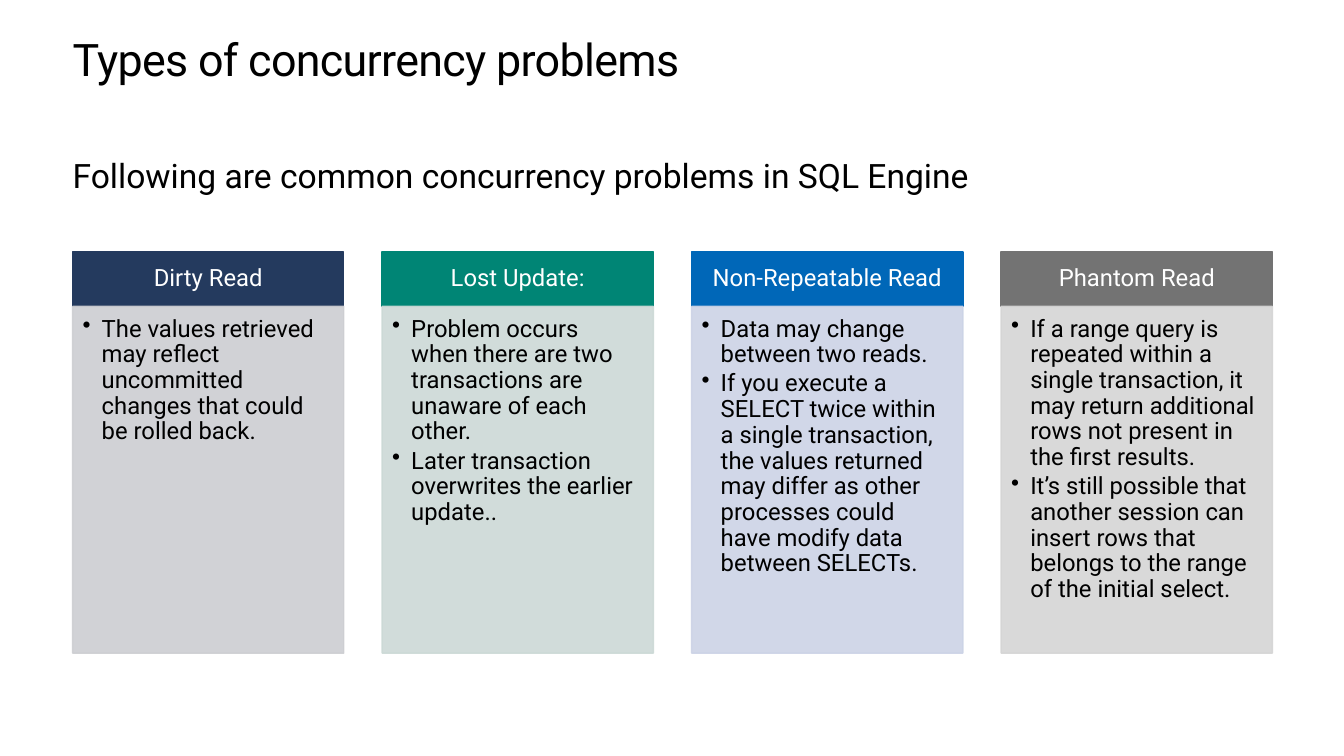
"""Build the slide on types of concurrency problems."""
from lxml import etree
from pptx import Presentation
from pptx.dml.color import RGBColor
from pptx.enum import shapes, text
from pptx.oxml import ns
from pptx.util import Inches, Pt

BLACK = RGBColor(0x00, 0x00, 0x00)
WHITE = RGBColor(0xFF, 0xFF, 0xFF)
NAVY, NAVY_TINT = RGBColor(0x24, 0x3A, 0x5E), RGBColor(0xCD, 0xCE, 0xD2)
GREEN, GREEN_TINT = RGBColor(0x00, 0x85, 0x75), RGBColor(0xCC, 0xD9, 0xD6)
BLUE, BLUE_TINT = RGBColor(0x00, 0x67, 0xB8), RGBColor(0xCC, 0xD3, 0xE6)
GRAY, GRAY_TINT = RGBColor(0x73, 0x73, 0x73), RGBColor(0xD5, 0xD5, 0xD5)

TITLE = "Types of concurrency problems"
INTRO = "Following are common concurrency problems in SQL Engine"
PROBLEMS = [
    ("Dirty Read", NAVY, NAVY_TINT, [
        "The values retrieved may reflect uncommitted changes that could be rolled back.",
    ]),
    ("Lost Update:", GREEN, GREEN_TINT, [
        "Problem occurs when there are two transactions are unaware of each other.",
        "Later transaction overwrites the earlier update..",
    ]),
    ("Non-Repeatable Read", BLUE, BLUE_TINT, [
        "Data may change between two reads.",
        "If you execute a SELECT twice within a single transaction, the values returned "
        "may differ as other processes could have modify data between SELECTs.",
    ]),
    ("Phantom Read", GRAY, GRAY_TINT, [
        "If a range query is repeated within a single transaction, it may return "
        "additional rows not present in the first results.",
        "It’s still possible that another session can insert rows that belongs to the "
        "range of the initial select.",
    ]),
]

FONT = "Roboto"
LEFT, CONTENT_WIDTH = 0.72, 11.9
CARD_WIDTH = 2.69
CARD_STEP = (CONTENT_WIDTH - CARD_WIDTH) / (len(PROBLEMS) - 1)
HEADER_TOP, HEADER_HEIGHT, BODY_HEIGHT = 2.5, 0.54, 3.44
BULLET_INDENT = 0.19
TINT_OPACITY = 90


def add_run(paragraph, words, size, color):
    run = paragraph.add_run()
    run.text = words
    run.font.name = FONT
    run.font.size = Pt(size)
    run.font.color.rgb = color
    return run


def set_frame(frame, anchor, insets):
    frame.word_wrap = True
    frame.auto_size = text.MSO_AUTO_SIZE.NONE
    frame.vertical_anchor = anchor
    (frame.margin_left, frame.margin_top,
     frame.margin_right, frame.margin_bottom) = map(Inches, insets)


def add_panel(slide, left, top, height, color, anchor, insets):
    panel = slide.shapes.add_shape(
        shapes.MSO_SHAPE.RECTANGLE,
        Inches(left), Inches(top), Inches(CARD_WIDTH), Inches(height))
    panel.shadow.inherit = False
    panel.fill.solid()
    panel.fill.fore_color.rgb = color
    panel.line.color.rgb = color
    panel.line.width = Pt(1)
    set_frame(panel.text_frame, anchor, insets)
    return panel


def make_translucent(panel):
    for color in panel._element.spPr.iter(ns.qn("a:srgbClr")):
        etree.SubElement(color, ns.qn("a:alpha"), val=str(TINT_OPACITY * 1000))


def add_bullet(paragraph, words):
    paragraph.alignment = text.PP_ALIGN.LEFT
    paragraph.line_spacing = 0.9
    paragraph.space_after = Pt(2.5)
    properties = paragraph._p.get_or_add_pPr()
    properties.set("marL", str(Inches(BULLET_INDENT)))
    properties.set("indent", str(-Inches(BULLET_INDENT)))
    etree.SubElement(properties, ns.qn("a:buChar"), char="•")
    add_run(paragraph, words, 17, BLACK)


def add_card(slide, left, name, color, tint, points):
    header = add_panel(slide, left, HEADER_TOP, HEADER_HEIGHT, color,
                       text.MSO_ANCHOR.MIDDLE, (0.13, 0.08, 0.13, 0.08))
    heading = header.text_frame.paragraphs[0]
    heading.alignment = text.PP_ALIGN.CENTER
    heading.line_spacing = 0.9
    add_run(heading, name, 17, WHITE)

    body = add_panel(slide, left, HEADER_TOP + HEADER_HEIGHT, BODY_HEIGHT, tint,
                     text.MSO_ANCHOR.TOP, (0.1, 0.1, 0.13, 0.15))
    make_translucent(body)
    frame = body.text_frame
    for index, point in enumerate(points):
        add_bullet(frame.add_paragraph() if index else frame.paragraphs[0], point)


def add_headings(slide):
    title = slide.shapes.title
    intro = slide.shapes.add_textbox(0, 0, 0, 0)
    for shape, top in ((title, 0.35), (intro, 1.54)):
        shape.left, shape.top = Inches(LEFT), Inches(top)
        shape.width, shape.height = Inches(CONTENT_WIDTH), Inches(0.5)
        set_frame(shape.text_frame, text.MSO_ANCHOR.TOP, (0, 0, 0, 0))
    paragraph = title.text_frame.paragraphs[0]
    paragraph.alignment = text.PP_ALIGN.LEFT
    paragraph.line_spacing = Pt(36.2)
    run = add_run(paragraph, TITLE, 32, BLACK)
    run.font._element.set("spc", "-50")
    add_run(intro.text_frame.paragraphs[0], INTRO, 24, BLACK)


def main():
    presentation = Presentation()
    presentation.slide_width, presentation.slide_height = Inches(13.33), Inches(7.5)
    slide = presentation.slides.add_slide(presentation.slide_layouts[5])
    add_headings(slide)
    for index, problem in enumerate(PROBLEMS):
        add_card(slide, LEFT + index * CARD_STEP, *problem)
    presentation.save("out.pptx")


if __name__ == "__main__":
    main()
